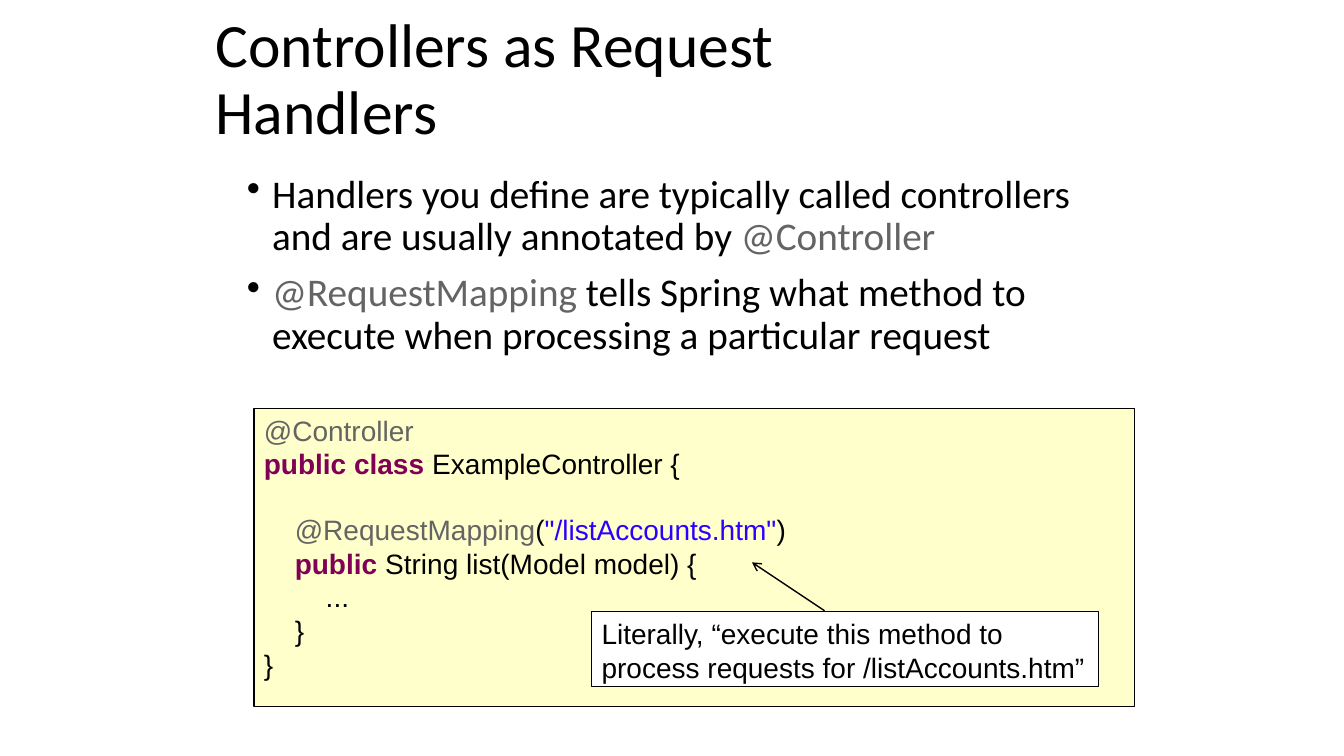
from lxml import etree
from pptx import Presentation
from pptx.dml.color import RGBColor
from pptx.enum.shapes import MSO_CONNECTOR, MSO_SHAPE
from pptx.enum.text import MSO_ANCHOR, PP_ALIGN
from pptx.oxml.ns import qn
from pptx.util import Cm, Pt

RECTANGLE = MSO_SHAPE.RECTANGLE
STRAIGHT = MSO_CONNECTOR.STRAIGHT
TOP, MIDDLE = MSO_ANCHOR.TOP, MSO_ANCHOR.MIDDLE
LEFT = PP_ALIGN.LEFT

# Content: each line is a list of (text, role) runs
TITLE = [("Controllers as Request Handlers", "text")]
BULLETS = [
    [("Handlers you define are typically called controllers and are usually annotated by ", "text"),
     ("@Controller", "annotation")],
    [("@RequestMapping", "annotation"),
     (" tells Spring what method to execute when processing a particular request", "text")],
]
# Code lines: (indent level, blank lines above, runs)
CODE = [
    (0, 0, [("@Controller", "annotation")]),
    (0, 0, [("public class ", "keyword"), ("ExampleController {", "text")]),
    (1, 1, [("@RequestMapping", "annotation"), ("(", "text"),
            ('"/listAccounts.htm"', "string"), (")", "text")]),
    (1, 0, [("public", "keyword"), (" String list(Model model) {", "text")]),
    (2, 0, [("...", "text")]),
    (1, 0, [("}", "text")]),
    (0, 0, [("}", "text")]),
]
CALLOUT = [
    [("Literally, “execute this method to", "text")],
    [("process requests for /listAccounts.htm”", "text")],
]

THEME = {
    "colors": {"text": "000000", "annotation": "646464", "keyword": "7F0055",
               "string": "2A00FF", "line": "000000",
               "code fill": "FFFFCC", "callout fill": "FFFFFF"},
    "title": ("Calibri", 44),
    "body": ("Calibri", 28),
    "code": ("Arial", 20),
}

# Layout in cm: left, top, width, height
TITLE_BOX = (5.18, 0.23, 17.48, 3.63)
BODY_BOX = (5.97, 4.27, 21.84, 4.93)
CODE_BOX = (6.4, 10.29, 22.2, 7.52)
CALLOUT_BOX = (14.91, 15.42, 12.78, 1.89)
ARROW = (20.78, 15.39, 18.95, 14.17)
BULLET_INDENT = 0.64
CODE_INDENT = 0.78
CODE_LINE = 23  # points

prs = Presentation()
prs.slide_width, prs.slide_height = Cm(33.87), Cm(19.05)
slide = prs.slides.add_slide(prs.slide_layouts[6])


def color(role):
    return RGBColor.from_string(THEME["colors"][role])


def cm(lengths):
    return [Cm(length) for length in lengths]


def write_line(frame, index, runs, style):
    line = frame.paragraphs[0] if index == 0 else frame.add_paragraph()
    line.alignment = LEFT
    line.font.name, size = THEME[style]
    line.font.size = Pt(size)
    for text, role in runs:
        run = line.add_run()
        run.text = text
        run.font.color.rgb = color(role)
        if role == "keyword":
            run.font.bold = True
    return line


def add_text(box, anchor):
    frame = slide.shapes.add_textbox(*cm(box)).text_frame
    frame.word_wrap = True
    frame.vertical_anchor = anchor
    return frame


def add_panel(box, fill, weight, wrap):
    panel = slide.shapes.add_shape(RECTANGLE, *cm(box))
    panel.shadow.inherit = False
    panel.fill.solid()
    panel.fill.fore_color.rgb = color(fill)
    panel.line.color.rgb = color("line")
    panel.line.width = Pt(weight)
    panel.text_frame.word_wrap = wrap
    panel.text_frame.vertical_anchor = TOP
    return panel.text_frame


# Title
heading = write_line(add_text(TITLE_BOX, MIDDLE), 0, TITLE, "title")
heading.line_spacing = 0.9

# Code panel
code = add_panel(CODE_BOX, "code fill", 1, True)
for i, (level, blanks, runs) in enumerate(CODE):
    line = write_line(code, i, runs, "code")
    line.space_before = Pt(blanks * CODE_LINE)
    line._p.get_or_add_pPr().set("marL", str(Cm(level * CODE_INDENT)))

# Bullets
body = add_text(BODY_BOX, TOP)
for i, runs in enumerate(BULLETS):
    bullet = write_line(body, i, runs, "body")
    bullet.line_spacing = 0.9
    bullet.space_before = Pt(10)
    props = bullet._p.get_or_add_pPr()
    props.set("marL", str(Cm(BULLET_INDENT)))
    props.set("indent", str(-Cm(BULLET_INDENT)))
    bullet_color = etree.Element(qn("a:buClr"))
    etree.SubElement(bullet_color, qn("a:srgbClr"), val=THEME["colors"]["text"])
    marker = etree.Element(qn("a:buChar"), char="•")
    defaults = props.find(qn("a:defRPr"))
    defaults.addprevious(bullet_color)
    defaults.addprevious(marker)

# Arrow from the callout to the method
arrow = slide.shapes.add_connector(STRAIGHT, *cm(ARROW))
arrow.line.color.rgb = color("line")
arrow.line.width = Pt(1)
etree.SubElement(arrow.line._get_or_add_ln(), qn("a:tailEnd"), type="arrow")
etree.SubElement(arrow._element.spPr, qn("a:effectLst"))

# Callout
callout = add_panel(CALLOUT_BOX, "callout fill", 0.75, False)
for i, runs in enumerate(CALLOUT):
    write_line(callout, i, runs, "code")

prs.save("out.pptx")
